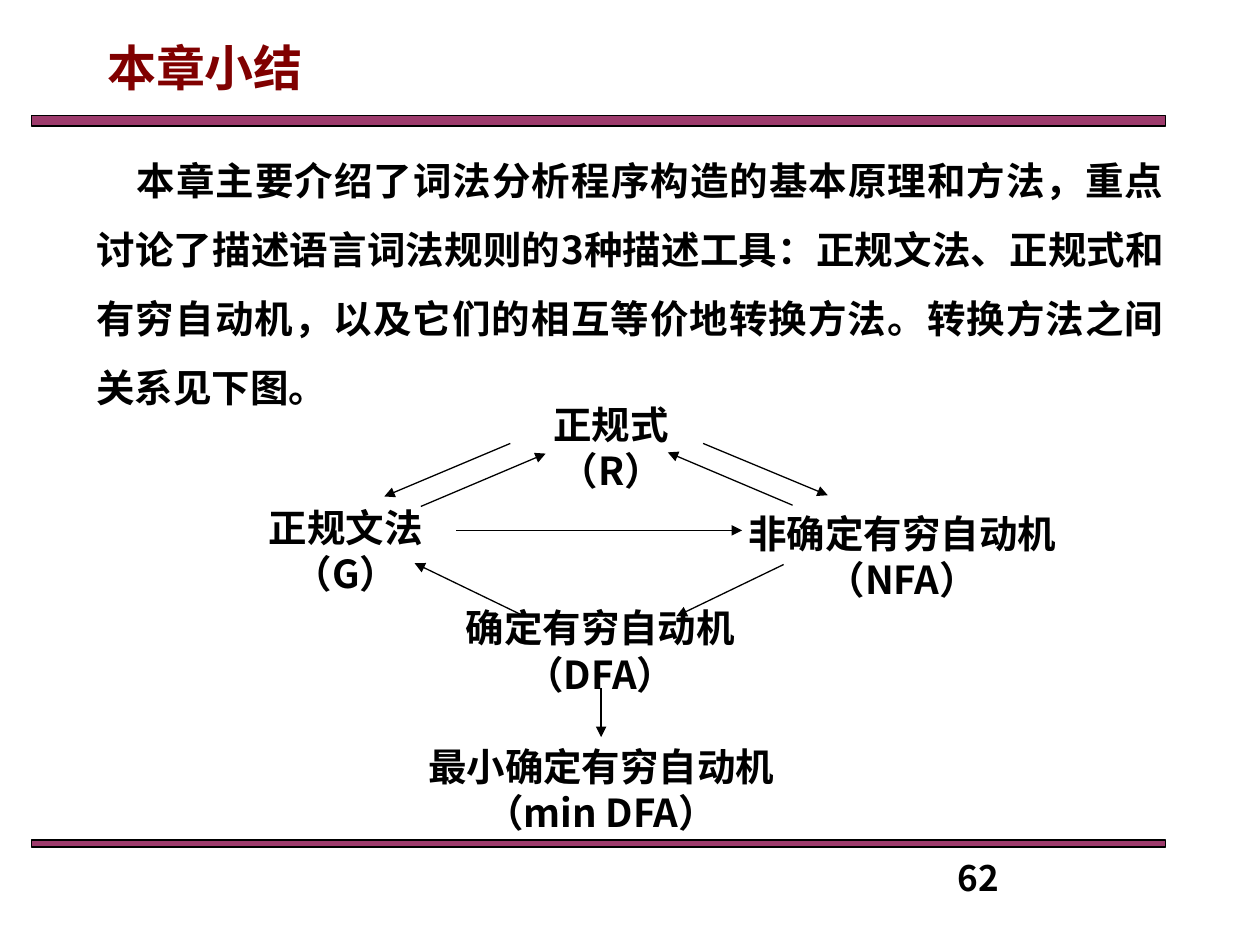
from pptx import Presentation
from pptx import util as u
from pptx.dml.color import RGBColor
from pptx.enum import shapes, text
from pptx.oxml.ns import qn
from lxml import etree

FONT = "Noto Sans CJK SC"
BLACK = "000000"
LINE_PITCH = 26.3
BODY = ("本章主要介绍了词法分析程序构造的基本原理和方法，重点讨论了描述语言词法规则的3种描述工具："
        "正规文法、正规式和有穷自动机，以及它们的相互等价地转换方法。转换方法之间关系见下图。")
LABELS = {
    "R": (["正规式", "（R）"], 299.5, 225.4, 99.4, 37.4),
    "G": (["正规文法", "（G）"], 138.2, 284.4, 118.8, 36.7),
    "NFA": (["非确定有穷自动机（NFA）"], 413.3, 288, 204.5, 36.7),
    "DFA": (["确定有穷自动机", "（DFA）"], 253.4, 342, 179.3, 38.2),
    "min DFA": (["最小确定有穷自动机", "（min DFA）"], 232.6, 421.2, 221.8, 36.7),
}
ARROWS = [
    (260.6, 303.1, 424.1, 303.1),
    (447.8, 322.6, 386.6, 352.1),
    (298.1, 351.4, 236.9, 321.8),
    (240.5, 289.4, 311.8, 259.2),
    (291.6, 253.4, 219.6, 283.7),
    (401.8, 253.4, 473, 283),
    (452.9, 288.7, 381.6, 258.5),
]


def colour(value):
    return RGBColor.from_string(value)


def write_run(paragraph, content, size, shade=BLACK):
    run = paragraph.add_run()
    run.text = content
    font = run.font
    font.size = u.Pt(size)
    font.bold = True
    font.name = FONT
    font.color.rgb = colour(shade)
    east_asian = etree.SubElement(run._r.get_or_add_rPr(), qn("a:ea"))
    east_asian.set("typeface", FONT)


def place_title(slide):
    title = slide.shapes.title
    title.left, title.top = u.Pt(54), u.Pt(18)
    title.width, title.height = u.Pt(414), u.Pt(41)
    frame = title.text_frame
    frame.auto_size = text.MSO_AUTO_SIZE.NONE
    frame.vertical_anchor = text.MSO_ANCHOR.MIDDLE
    paragraph = frame.paragraphs[0]
    paragraph.alignment = text.PP_ALIGN.LEFT
    write_run(paragraph, "本章小结", 28, "800000")


def add_text(slide, lines, left, top, width, height, size=22,
             align=text.PP_ALIGN.CENTER, pitch=LINE_PITCH, indent=0):
    box = slide.shapes.add_textbox(u.Pt(left), u.Pt(top), u.Pt(width), u.Pt(height))
    frame = box.text_frame
    frame.word_wrap = True
    for index, line in enumerate(lines):
        paragraph = frame.add_paragraph() if index else frame.paragraphs[0]
        paragraph.alignment = align
        paragraph.line_spacing = u.Pt(pitch)
        if indent:
            paragraph._p.get_or_add_pPr().set("indent", str(u.Pt(indent)))
        write_run(paragraph, line, size)
    return box


def add_bar(slide, top, height):
    bar = slide.shapes.add_shape(shapes.MSO_SHAPE.RECTANGLE,
                                 u.Pt(18), u.Pt(top), u.Pt(648), u.Pt(height))
    bar.shadow.inherit = False
    bar.fill.solid()
    bar.fill.fore_color.rgb = colour("993366")
    shade = bar._element.spPr.find(qn("a:solidFill"))[0]
    etree.SubElement(shade, qn("a:alpha")).set("val", "96000")
    bar.line.color.rgb = colour(BLACK)
    bar.line.width = u.Pt(0.75)


def add_arrow(slide, *ends):
    arrow = slide.shapes.add_connector(shapes.MSO_CONNECTOR.STRAIGHT,
                                       *(u.Pt(end) for end in ends))
    arrow.line.color.rgb = colour(BLACK)
    arrow.line.width = u.Pt(0.75)
    etree.SubElement(arrow.line._get_or_add_ln(), qn("a:tailEnd")).set("type", "triangle")
    etree.SubElement(arrow._element.spPr, qn("a:effectLst"))
    return arrow


def main():
    presentation = Presentation()
    presentation.slide_width, presentation.slide_height = u.Pt(720), u.Pt(540)
    slide = presentation.slides.add_slide(presentation.slide_layouts[5])
    place_title(slide)
    add_bar(slide, 66, 6)
    add_bar(slide, 480, 4)
    add_text(slide, [BODY], 48, 73, 624.5, 167, align=text.PP_ALIGN.JUSTIFY,
             pitch=1.5 * LINE_PITCH, indent=23)
    boxes = {name: add_text(slide, *label) for name, label in LABELS.items()}
    for ends in ARROWS:
        add_arrow(slide, *ends)
    add_arrow(slide, 343.5, 393.1, 343.5, 421.2).end_connect(boxes["min DFA"], 0)
    add_text(slide, ["62"], 540, 486, 167.8, 19.4, size=20,
             align=text.PP_ALIGN.LEFT, pitch=24)
    presentation.save("out.pptx")


if __name__ == "__main__":
    main()
